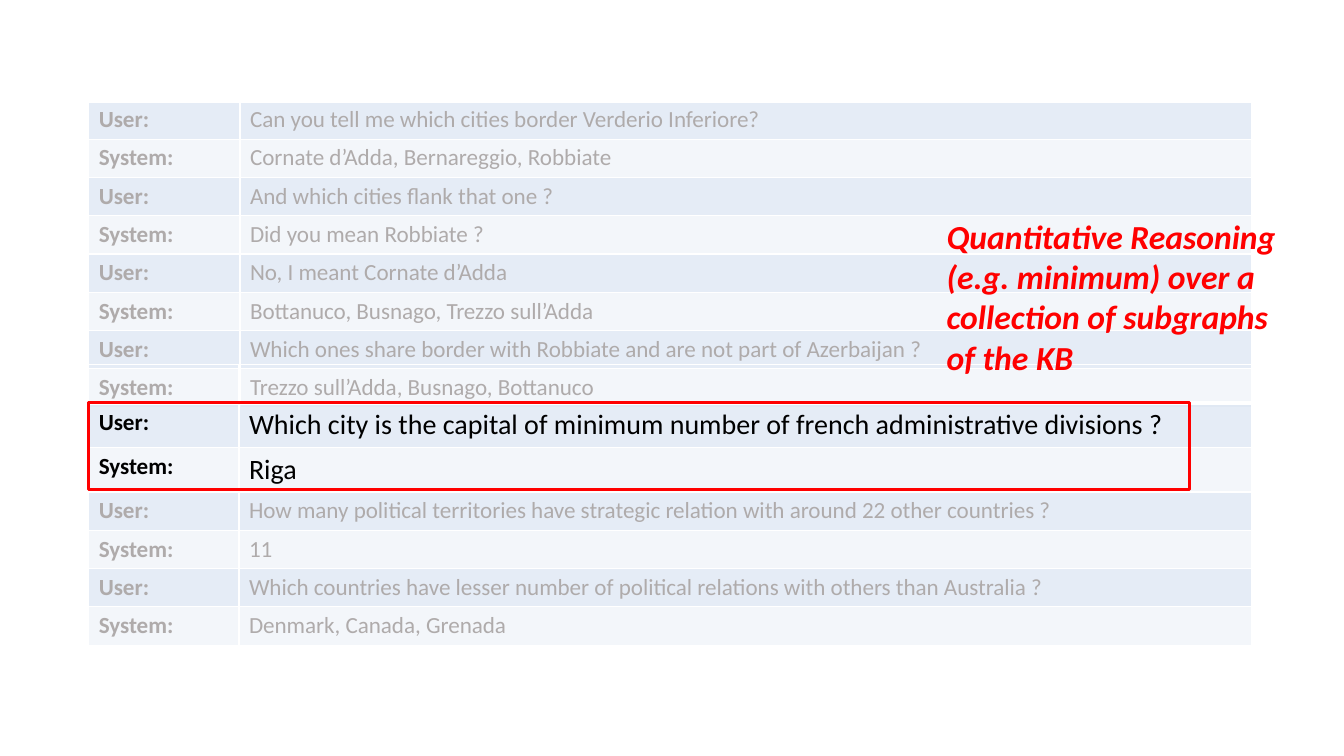
from dataclasses import dataclass

from lxml.etree import SubElement
from pptx import Presentation
from pptx.dml.color import RGBColor
from pptx.enum.shapes import MSO_SHAPE as Shape
from pptx.oxml.ns import qn
from pptx.util import Emu, Pt


@dataclass(frozen=True)
class Theme:
    font: str = "Calibri"
    white: str = "FFFFFF"
    bands: tuple[str, str] = ("D2DEEF", "EAEFF7")
    band_opacity: int = 56
    muted: str = "AFABAB"
    dark: str = "000000"
    accent: str = "FF0000"
    body_size: float = 16.5
    focus_size: float = 20
    note_size: float = 24
    border: int = 1
    header_border: int = 3
    outline: int = 2


@dataclass(frozen=True)
class Turn:
    text: str
    focus: bool = False


@dataclass(frozen=True)
class Dialogue:
    left: int
    top: int
    columns: tuple[int, int]
    turns: tuple[Turn, ...]
    header_fill: bool


THEME = Theme()
SPEAKERS = ("User:", "System:")
ROW_HEIGHT = 38
FOCUS_HEIGHT = 44

DIALOGUES = (
    Dialogue(88, 62, (150, 1003), (
        Turn("Can you tell me which cities border Verderio Inferiore?"),
        Turn("Cornate d’Adda, Bernareggio, Robbiate"),
        Turn("And which cities flank that one ?"),
        Turn("Did you mean Robbiate ?"),
        Turn("No, I meant Cornate d’Adda"),
        Turn("Bottanuco, Busnago, Trezzo sull’Adda"),
        Turn("Which ones share border with Robbiate and are not part of Azerbaijan ?"),
        Turn("Trezzo sull’Adda, Busnago, Bottanuco"),
    ), header_fill=True),
    Dialogue(88, 362, (149, 1004), (
        Turn("Which city is the capital of minimum number of french administrative divisions ?", True),
        Turn("Riga", True),
        Turn("How many political territories have strategic relation with around 22 other countries ?"),
        Turn("11"),
        Turn("Which countries have lesser number of political relations with others than Australia ?"),
        Turn("Denmark, Canada, Grenada"),
    ), header_fill=False),
)


def px(length: int) -> Emu:
    """Convert px to EMU at 100 px to the inch."""
    return Emu(length * 9144)


def add_run(paragraph, text: str, size: float, color: str, bold: bool, italic: bool = False) -> None:
    run = paragraph.add_run()
    run.text = text
    run.font.name = THEME.font
    run.font.size = Pt(size)
    run.font.color.rgb = RGBColor.from_string(color)
    run.font.bold = bold
    run.font.italic = italic


def set_borders(cell, top: int, bottom: int) -> None:
    properties = cell._tc.get_or_add_tcPr()
    widths = {"L": THEME.border, "R": THEME.border, "T": top, "B": bottom}
    for side, width in widths.items():
        line = SubElement(properties, qn(f"a:ln{side}"), w=str(Pt(width)))
        fill = SubElement(line, qn("a:solidFill"))
        SubElement(fill, qn("a:srgbClr"), val=THEME.white)


def set_fill(cell, color: str, opacity: int = 100) -> None:
    cell.fill.solid()
    cell.fill.fore_color.rgb = RGBColor.from_string(color)
    if opacity < 100:
        swatch = cell._tc.tcPr.find(f"{qn('a:solidFill')}/{qn('a:srgbClr')}")
        SubElement(swatch, qn("a:alpha"), val=str(opacity * 1000))


def fill_header(cell, filled: bool) -> None:
    set_borders(cell, THEME.border, THEME.header_border)
    if filled:
        set_fill(cell, THEME.white)
    else:
        cell.fill.background()
    # Size of the empty line, so that the row keeps its height
    paragraph = cell.text_frame.paragraphs[0]
    SubElement(paragraph._p, qn("a:endParaRPr"), sz=str(int(THEME.body_size * 100)))


def add_dialogue(slide, dialogue: Dialogue) -> None:
    heights = [ROW_HEIGHT] + [FOCUS_HEIGHT if turn.focus else ROW_HEIGHT for turn in dialogue.turns]
    frame = slide.shapes.add_table(
        len(heights), len(dialogue.columns), px(dialogue.left), px(dialogue.top),
        px(sum(dialogue.columns)), px(sum(heights)))
    table = frame.table
    table.first_row = False
    table.horz_banding = False
    for column, width in zip(table.columns, dialogue.columns):
        column.width = px(width)
    for row, height in zip(table.rows, heights):
        row.height = px(height)

    for cell in table.rows[0].cells:
        fill_header(cell, dialogue.header_fill)
    for index, turn in enumerate(dialogue.turns):
        color = THEME.dark if turn.focus else THEME.muted
        text_size = THEME.focus_size if turn.focus else THEME.body_size
        top = THEME.header_border if index == 0 else THEME.border
        speaker, utterance = table.rows[index + 1].cells
        for cell in (speaker, utterance):
            set_borders(cell, top, THEME.border)
            set_fill(cell, THEME.bands[index % 2], THEME.band_opacity)
        add_run(speaker.text_frame.paragraphs[0], SPEAKERS[index % 2], THEME.body_size, color, True)
        add_run(utterance.text_frame.paragraphs[0], turn.text, text_size, color, False)


def add_focus_frame(slide) -> None:
    shape = slide.shapes.add_shape(Shape.RECTANGLE, px(88), px(399), px(1092), px(87))
    shape.shadow.inherit = False
    shape.fill.background()
    shape.line.color.rgb = RGBColor.from_string(THEME.accent)
    shape.line.width = Pt(THEME.outline)


def add_note(slide, text: str) -> None:
    text_frame = slide.shapes.add_textbox(px(929), px(209), px(372), px(172)).text_frame
    text_frame.word_wrap = True
    add_run(text_frame.paragraphs[0], text, THEME.note_size, THEME.accent, True, True)


def main() -> None:
    presentation = Presentation()
    presentation.slide_width = px(1333)
    presentation.slide_height = px(750)
    slide = presentation.slides.add_slide(presentation.slide_layouts[6])

    # Conversation, in two tables
    for dialogue in DIALOGUES:
        add_dialogue(slide, dialogue)

    # Highlighted turns and their explanation
    add_focus_frame(slide)
    add_note(slide, "Quantitative Reasoning (e.g. minimum) over a collection of subgraphs of the KB")

    presentation.save("out.pptx")


if __name__ == "__main__":
    main()
